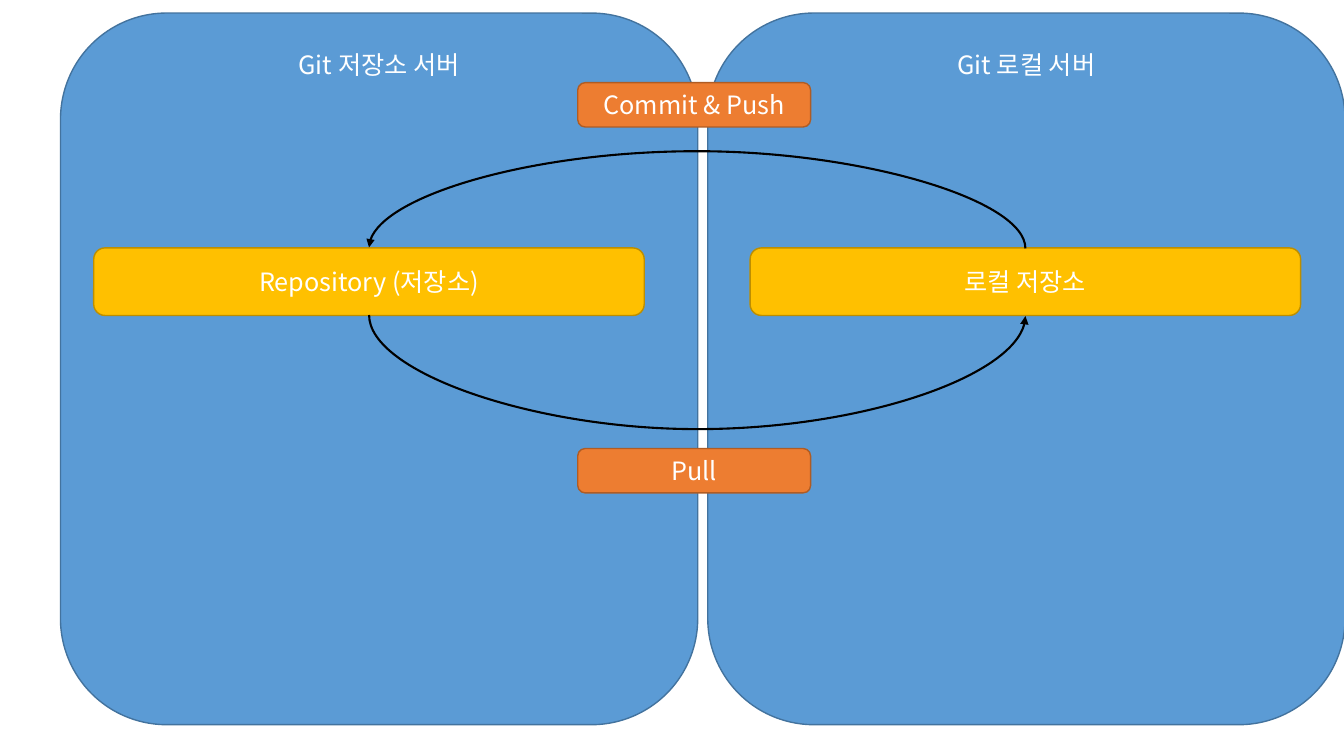
import pptx
import pptx.util
import pptx.dml.color
import pptx.enum.shapes
import pptx.enum.text
import pptx.oxml.ns
import lxml.etree

FONT = "Noto Sans CJK KR"
COLORS = {
    "panel": "5B9BD5", "panel_line": "43739E",
    "store": "FFC000", "store_line": "BD8E00",
    "action": "ED7D31", "action_line": "AF5C24",
    "text": "FFFFFF", "arrow": "000000",
}
PANEL_LEFT, PANEL_TOP, PANEL_WIDTH, PANEL_HEIGHT = 0.6, 0.13, 6.32, 7.06
PANEL_PITCH = PANEL_WIDTH + 0.1
STORE_LEFT, STORE_TOP, STORE_WIDTH, STORE_HEIGHT = 0.93, 2.46, 5.46, 0.67
STORE_PITCH = 6.51
ACTION_LEFT, ACTION_WIDTH, ACTION_HEIGHT = 5.73, 2.31, 0.44

inches = pptx.util.Inches
qn = pptx.oxml.ns.qn
rgb = pptx.dml.color.RGBColor.from_string
anchors = pptx.enum.text.MSO_ANCHOR

presentation = pptx.Presentation()
presentation.slide_width = inches(13.33)
presentation.slide_height = inches(7.5)
slide = presentation.slides.add_slide(presentation.slide_layouts[6])


def add_box(kind, text, left, top, width, height, anchor=anchors.MIDDLE):
    shape = slide.shapes.add_shape(
        pptx.enum.shapes.MSO_SHAPE.ROUNDED_RECTANGLE,
        inches(left), inches(top), inches(width), inches(height))
    shape.shadow.inherit = False
    shape.fill.solid()
    shape.fill.fore_color.rgb = rgb(COLORS[kind])
    shape.line.color.rgb = rgb(COLORS[kind + "_line"])
    shape.line.width = pptx.util.Pt(1)
    shape.text_frame.vertical_anchor = anchor
    paragraph = shape.text_frame.paragraphs[0]
    paragraph.alignment = pptx.enum.text.PP_ALIGN.CENTER
    run = paragraph.add_run()
    run.text = text
    run.font.size = pptx.util.Pt(18)
    run.font.name = FONT
    run.font.color.rgb = rgb(COLORS["text"])
    east_asian = lxml.etree.SubElement(run.font._element, qn("a:ea"))
    east_asian.set("typeface", FONT)


# Server panels, each holding its store
servers = [("Git 저장소 서버", "Repository (저장소)"), ("Git 로컬 서버", "로컬 저장소")]
for column, (server, store) in enumerate(servers):
    add_box("panel", server, PANEL_LEFT + column * PANEL_PITCH, PANEL_TOP,
            PANEL_WIDTH, PANEL_HEIGHT, anchors.TOP)
    add_box("store", store, STORE_LEFT + column * STORE_PITCH, STORE_TOP,
            STORE_WIDTH, STORE_HEIGHT)

# Arcs between the stores: thin upright connectors turned by 270 degrees,
# so the adjustment sets how far each arc bulges away from the stores
ARC_THICKNESS = 0.01
arc_center = STORE_LEFT + (STORE_WIDTH + STORE_PITCH) / 2
arcs = [(STORE_TOP + STORE_HEIGHT, 1, 1.15), (STORE_TOP, -1, 0.98)]
for level, direction, bulge in arcs:
    half_width = direction * ARC_THICKNESS / 2
    half_height = direction * STORE_PITCH / 2
    arc = slide.shapes.add_connector(
        pptx.enum.shapes.MSO_CONNECTOR.CURVE,
        inches(arc_center + half_width), inches(level - half_height),
        inches(arc_center - half_width), inches(level + half_height))
    arc.line.color.rgb = rgb(COLORS["arrow"])
    arc.line.width = pptx.util.Pt(1.5)
    properties = arc._element.spPr
    properties.find(qn("a:xfrm")).set("rot", str(270 * 60000))
    geometry = properties.find(qn("a:prstGeom"))
    guide = lxml.etree.SubElement(geometry.find(qn("a:avLst")), qn("a:gd"))
    guide.set("name", "adj1")
    guide.set("fmla", f"val {round(bulge / ARC_THICKNESS * 100000)}")
    arrowhead = lxml.etree.SubElement(properties.find(qn("a:ln")), qn("a:tailEnd"))
    arrowhead.set("type", "triangle")
    lxml.etree.SubElement(properties, qn("a:effectLst"))

for action, top in [("Pull", 4.45), ("Commit & Push", 0.82)]:
    add_box("action", action, ACTION_LEFT, top, ACTION_WIDTH, ACTION_HEIGHT)

presentation.save("out.pptx")
